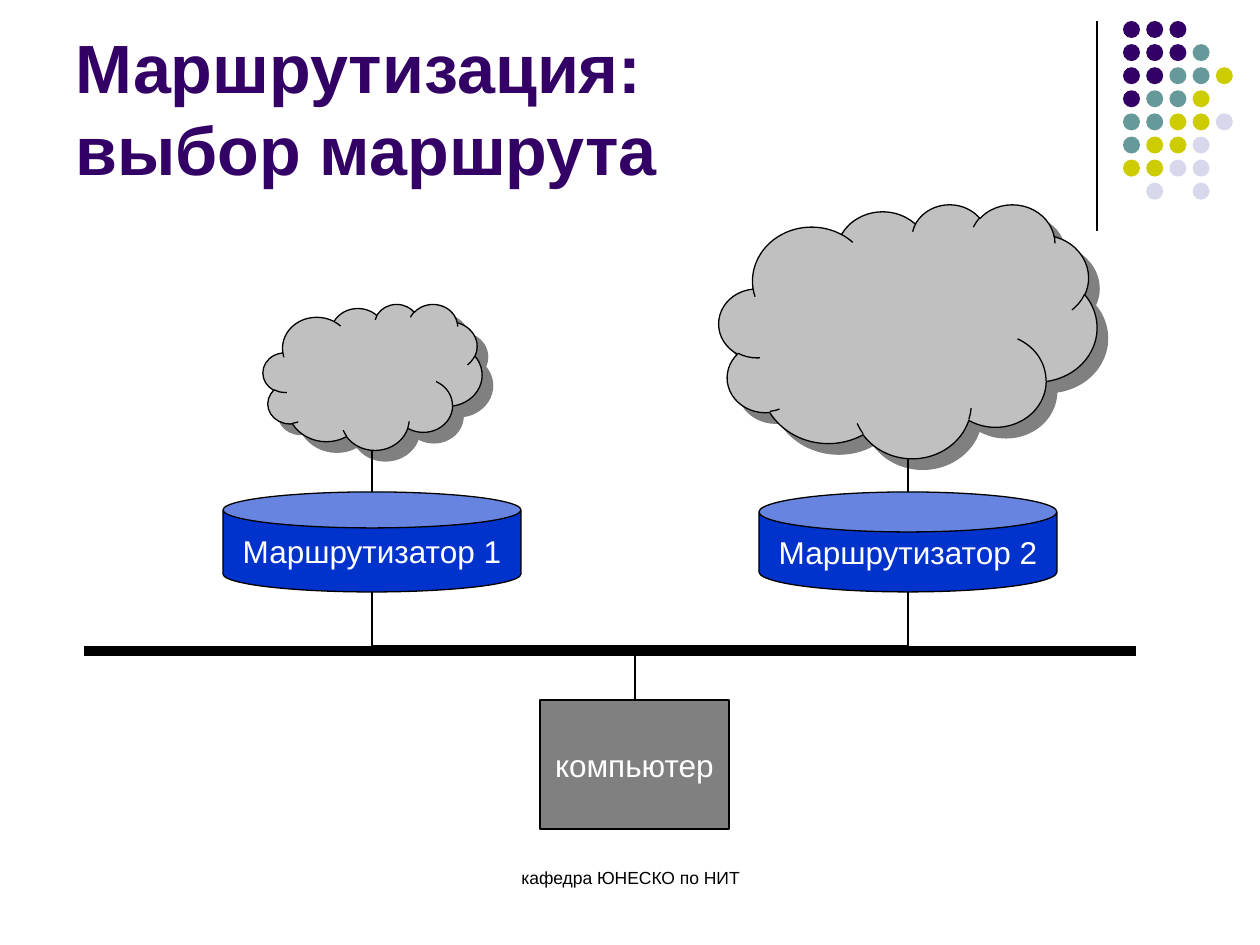
from lxml import etree
from pptx import Presentation
from pptx.dml.color import RGBColor
from pptx.enum.shapes import MSO_CONNECTOR, MSO_SHAPE
from pptx.enum.text import MSO_ANCHOR, PP_ALIGN
from pptx.oxml.ns import qn
from pptx.util import Pt

SCALE = 914400 / 126
FONT = "Arial"
BLACK = RGBColor(0x00, 0x00, 0x00)
WHITE = RGBColor(0xFF, 0xFF, 0xFF)
PURPLE = RGBColor(0x33, 0x00, 0x66)
TEAL = RGBColor(0x66, 0x99, 0x99)
LIME = RGBColor(0xCC, 0xCC, 0x00)
LILAC = RGBColor(0xD8, 0xD8, 0xEC)
BLUE = RGBColor(0x00, 0x33, 0xCC)
GRAY = RGBColor(0x80, 0x80, 0x80)
SILVER = RGBColor(0xC0, 0xC0, 0xC0)

STRAIGHT, ELBOW = MSO_CONNECTOR.STRAIGHT, MSO_CONNECTOR.ELBOW
OVAL, RECT = MSO_SHAPE.OVAL, MSO_SHAPE.RECTANGLE
CAN, CLOUD = MSO_SHAPE.CAN, MSO_SHAPE.CLOUD
LEFT, CENTER = PP_ALIGN.LEFT, PP_ALIGN.CENTER
TOP, MIDDLE, BOTTOM = MSO_ANCHOR.TOP, MSO_ANCHOR.MIDDLE, MSO_ANCHOR.BOTTOM

DOTS = ["PPP", "PPPT", "PPTTL", "PTTL", "TTLLV", "TLLV", "LLVV", " V V"]
TINTS = {"P": PURPLE, "T": TEAL, "L": LIME, "V": LILAC}


def px(n):
    return round(n * SCALE)


def write(shape, lines, size, color, align=CENTER, anchor=MIDDLE,
          bold=False, wrap=False):
    frame = shape.text_frame
    frame.word_wrap = wrap
    frame.vertical_anchor = anchor
    para = frame.paragraphs[0]
    para.alignment = align
    for i, line in enumerate(lines):
        if i:
            para.add_line_break()
        run = para.add_run()
        run.text = line
        run.font.name = FONT
        run.font.size = Pt(size)
        run.font.bold = bold
        run.font.color.rgb = color


def add_text(slide, box, lines, size, color, **style):
    shape = slide.shapes.add_textbox(*map(px, box))
    write(shape, lines, size, color, wrap=True, **style)


def add_solid(slide, kind, box, fill, edge=True):
    shape = slide.shapes.add_shape(kind, *map(px, box))
    shape.shadow.inherit = False
    shape.fill.solid()
    shape.fill.fore_color.rgb = fill
    if edge:
        shape.line.color.rgb = BLACK
        shape.line.width = Pt(0.75)
    else:
        shape.line.fill.background()
    return shape


def add_line(slide, start, end, width=0.75, kind=STRAIGHT):
    line = slide.shapes.add_connector(kind, *map(px, start + end))
    line.line.color.rgb = BLACK
    line.line.width = Pt(width)
    etree.SubElement(line._element.spPr, qn("a:effectLst"))
    return line


def add_elbow(slide, start, end):
    """Draw an elbow that leaves and arrives vertically: a level one turned 270 degrees."""
    mid_x, mid_y = (start[0] + end[0]) / 2, (start[1] + end[1]) / 2
    turned = [(mid_x - (y - mid_y), mid_y + (x - mid_x)) for x, y in (start, end)]
    line = add_line(slide, *turned, kind=ELBOW)
    line._element.spPr.find(qn("a:xfrm")).set("rot", str(270 * 60000))


def add_cloud(slide, box):
    cloud = add_solid(slide, CLOUD, box, SILVER)
    effects = cloud._element.spPr.find(qn("a:effectLst"))
    shade = etree.SubElement(effects, qn("a:outerShdw"), blurRad="0",
                             dist=str(Pt(8.5)), dir=str(45 * 60000),
                             algn="ctr", rotWithShape="0")
    etree.SubElement(shade, qn("a:srgbClr"), val=str(GRAY))


def add_dots(slide):
    for row, marks in enumerate(DOTS):
        for col, mark in enumerate(marks):
            if mark in TINTS:
                box = (1123 + 23.2 * col, 21 + 23.1 * row, 17, 17)
                add_solid(slide, OVAL, box, TINTS[mark], edge=False)


def add_router(slide, left, name, lid):
    can = add_solid(slide, CAN, (left, 492, 298, 100), BLUE)
    can.adjustments[0] = lid
    write(can, [name], 18, WHITE)


def main():
    deck = Presentation()
    deck.slide_width, deck.slide_height = px(1260), px(945)
    slide = deck.slides.add_slide(deck.slide_layouts[6])

    add_line(slide, (1097, 21), (1097, 231))
    add_dots(slide)
    add_text(slide, (431, 861, 399, 63), ["кафедра ЮНЕСКО по НИТ"],
             10, BLACK, align=CENTER, anchor=TOP)
    add_text(slide, (63, 16, 1040, 179), ["Маршрутизация:", "выбор маршрута"],
             39, PURPLE, align=LEFT, anchor=BOTTOM, bold=True)

    host = add_solid(slide, RECT, (540, 700, 189, 129), GRAY)
    write(host, ["компьютер"], 18, WHITE)
    add_router(slide, 223, "Маршрутизатор 1", 0.36)
    add_router(slide, 759, "Маршрутизатор 2", 0.4)
    for mid in (372, 908):
        add_elbow(slide, (635, 700), (mid, 592))
    add_line(slide, (84, 651), (1136, 651), 6)

    add_cloud(slide, (263, 304, 219, 146))
    add_cloud(slide, (719, 204, 378, 254))
    for mid, base in ((372, 450), (908, 458)):
        add_line(slide, (mid, 492), (mid, base))

    deck.save("out.pptx")


if __name__ == "__main__":
    main()
